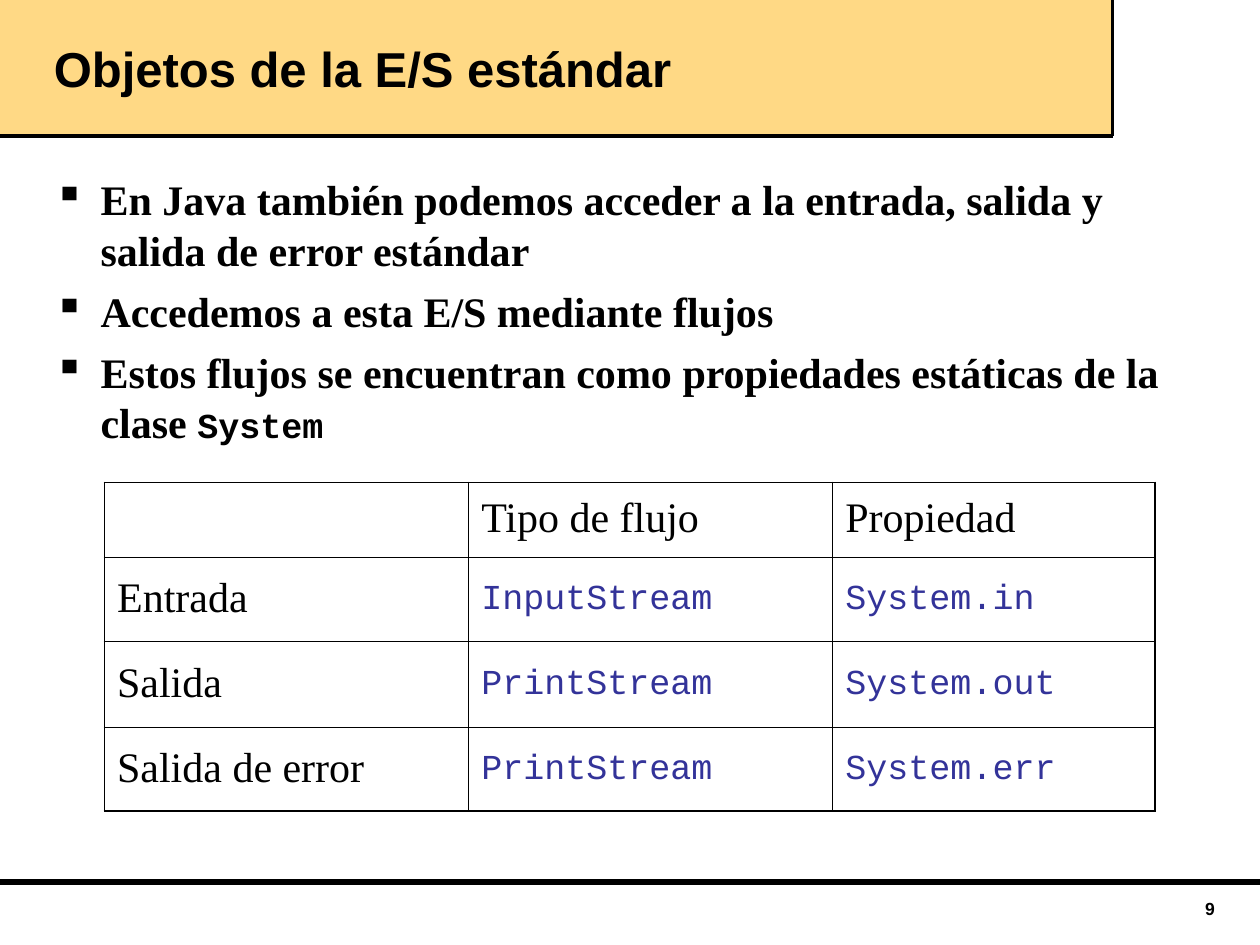
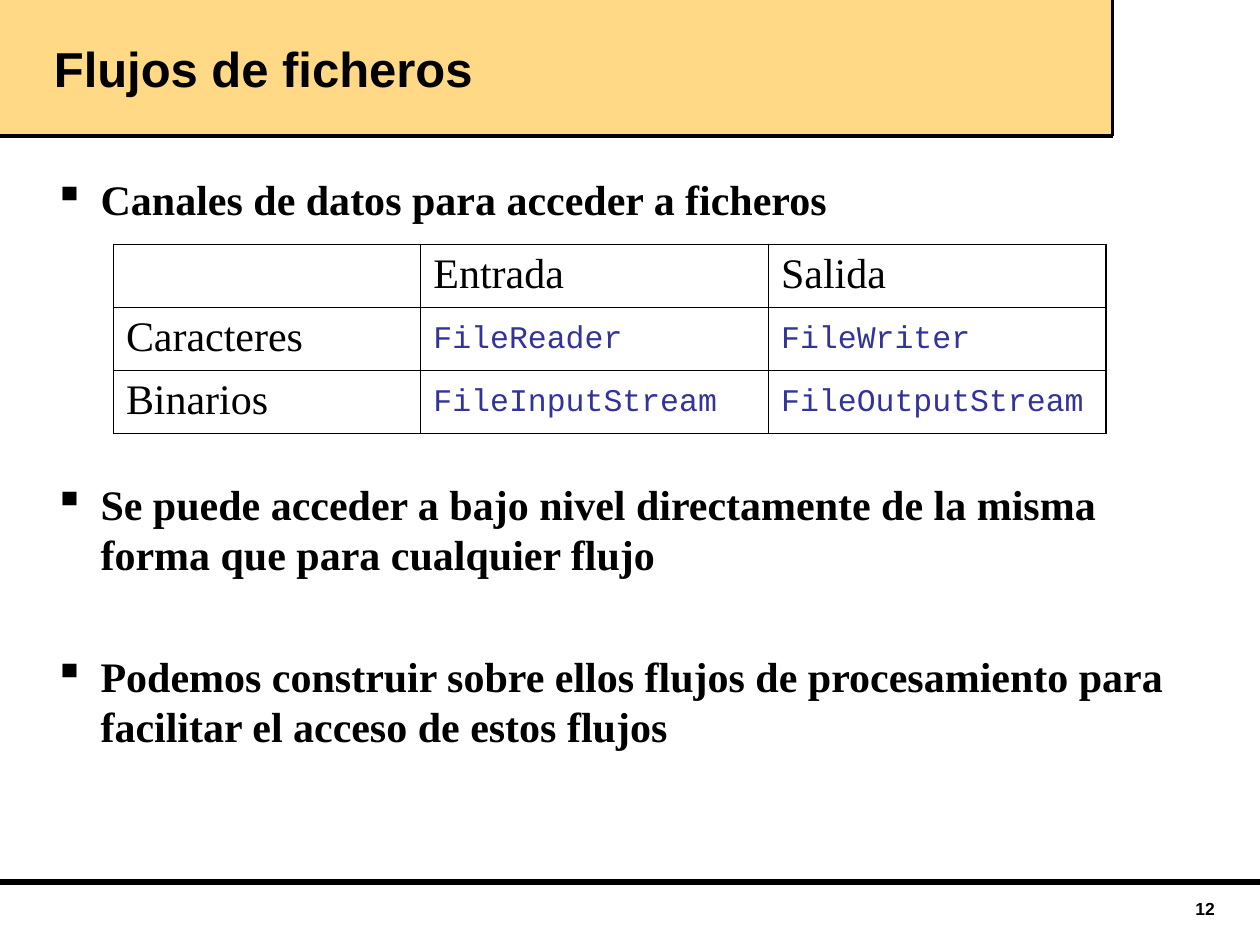
from dataclasses import dataclass
from lxml.etree import SubElement
from pptx import Presentation
from pptx.dml.color import RGBColor
from pptx.enum.shapes import MSO_CONNECTOR, MSO_SHAPE
from pptx.enum.text import MSO_ANCHOR, PP_ALIGN
from pptx.oxml import parse_xml
from pptx.oxml.ns import nsdecls, qn
from pptx.util import Inches, Pt


@dataclass(frozen=True)
class Theme:
    black: str = "000000"
    band: str = "FFD985"
    code: str = "333399"
    sans: str = "Arial"
    serif: str = "Times New Roman"
    mono: str = "Courier New"
    head: int = 28
    body: int = 24
    small: int = 20
    num: int = 10
    lead: float = 28.8  # line pitch of the body text
    gap: float = 6      # space before a bullet
    thick: float = 1.08
    thin: float = 0.45


T = Theme()
BAND = (0, 0, 8.83, 1.08)
TITLE = (0.33, 0, 8.5, 1.08)
BODY = (0.33, 1.33, 9.2, 5.08)
FOOT = (7.58, 7.08, 2.16, 0.27)
RULE = 7


def write(para, text, font=T.serif, size=T.body, color=T.black, bold=False):
    """Add one formatted run to a paragraph."""
    run = para.add_run()
    run.text = text
    run.font.name, run.font.size, run.font.bold = font, Pt(size), bold
    run.font.color.rgb = RGBColor.from_string(color)


def frame(slide, box, anchor=MSO_ANCHOR.TOP):
    area = slide.shapes.add_textbox(*map(Inches, box)).text_frame
    area.word_wrap = True
    area.vertical_anchor = anchor
    return area


def line(slide, x1, y1, x2, y2, width):
    rule = slide.shapes.add_connector(
        MSO_CONNECTOR.STRAIGHT, *map(Inches, (x1, y1, x2, y2)))
    rule.line.color.rgb = RGBColor.from_string(T.black)
    rule.line.width = Pt(width)
    SubElement(rule._element.spPr, qn("a:effectLst"))


def header(slide, box, title):
    # Band with a rule below and at the right
    x, y, w, h = box
    band = slide.shapes.add_shape(MSO_SHAPE.RECTANGLE, *map(Inches, box))
    band.shadow.inherit = False
    band.fill.solid()
    band.fill.fore_color.rgb = RGBColor.from_string(T.band)
    band.line.fill.background()
    line(slide, x, y + h, x + w, y + h, 2)
    line(slide, x + w, y + h, x + w, y, 2)
    # Title
    area = frame(slide, TITLE, MSO_ANCHOR.MIDDLE)
    write(area.paragraphs[0], title, font=T.sans, size=T.head, bold=True)


def footer(slide, box, number):
    line(slide, 0, RULE, 10, RULE, 3)
    para = frame(slide, box).paragraphs[0]
    para.alignment = PP_ALIGN.RIGHT
    write(para, str(number), font=T.sans, size=T.num, bold=True)


def bullet(para):
    props = para._p.get_or_add_pPr()
    props.set("marL", str(Inches(0.37)))
    props.set("indent", str(-Inches(0.37)))
    tint = SubElement(props, qn("a:buClr"))
    SubElement(tint, qn("a:srgbClr"), val=T.black)
    SubElement(props, qn("a:buChar"), char="▪")


def bullets(slide, box, items):
    """Each item is its text, a code word to end it, and lines to skip."""
    area = frame(slide, box)
    for i, (text, code, skip) in enumerate(items):
        para = area.paragraphs[0] if i == 0 else area.add_paragraph()
        bullet(para)
        para.line_spacing = Pt(T.lead)
        if i:
            para.space_before = Pt(T.gap + skip * (T.lead + T.gap))
        write(para, text, bold=True)
        if code:
            write(para, code, font=T.mono, size=T.small, bold=True)


def borders(cell, outer):
    """Draw the four sides, thick where they are on the outer edge."""
    props = cell._tc.get_or_add_tcPr()
    for i, side in enumerate("LRTB"):
        width = Pt(T.thick if side in outer else T.thin)
        props.insert(i, parse_xml(
            f'<a:ln{side} {nsdecls("a")} w="{width}"><a:solidFill>'
            f'<a:srgbClr val="{T.black}"/></a:solidFill></a:ln{side}>'))


def grid(slide, spot, cols, rows, data, size):
    x, y = spot
    table = slide.shapes.add_table(
        len(rows), len(cols),
        *map(Inches, (x, y, sum(cols), sum(rows)))).table
    table.first_row = table.horz_banding = False
    for col, width in zip(table.columns, cols):
        col.width = Inches(width)
    for row, height in zip(table.rows, rows):
        row.height = Inches(height)
    for r, texts in enumerate(data):
        for c, text in enumerate(texts):
            cell = table.cell(r, c)
            cell.fill.background()
            cell.vertical_anchor = MSO_ANCHOR.MIDDLE
            edges = {"L": c == 0, "R": c == len(cols) - 1,
                     "T": r == 0, "B": r == len(rows) - 1}
            borders(cell, [side for side in edges if edges[side]])
            if not text:
                continue
            para = cell.text_frame.paragraphs[0]
            para.line_spacing = 0.93
            # Names of classes stand below and right of the labels
            if r and c:
                write(para, text, font=T.mono, size=size, color=T.code)
            else:
                write(para, text)


def page(deck, title, number, items, table):
    slide = deck.slides.add_slide(deck.slide_layouts[6])
    header(slide, BAND, title)
    bullets(slide, BODY, items)
    grid(slide, **table)
    footer(slide, FOOT, number)


def main():
    deck = Presentation()
    deck.slide_width, deck.slide_height = Inches(10), Inches(7.5)

    # Standard streams
    page(deck, "Objetos de la E/S estándar", 9, [
        ("En Java también podemos acceder a la entrada, salida y "
         "salida de error estándar", "", 0),
        ("Accedemos a esta E/S mediante flujos", "", 0),
        ("Estos flujos se encuentran como propiedades estáticas de la clase ",
         "System", 0),
    ], dict(spot=(0.83, 3.83), cols=(2.89, 2.89, 2.56),
            rows=(0.59, 0.67, 0.68, 0.67), size=20, data=[
                ("", "Tipo de flujo", "Propiedad"),
                ("Entrada", "InputStream", "System.in"),
                ("Salida", "PrintStream", "System.out"),
                ("Salida de error", "PrintStream", "System.err")]))

    # File streams
    page(deck, "Flujos de ficheros", 12, [
        ("Canales de datos para acceder a ficheros", "", 0),
        ("Se puede acceder a bajo nivel directamente de la misma "
         "forma que para cualquier flujo", "", 4),
        ("Podemos construir sobre ellos flujos de procesamiento para "
         "facilitar el acceso de estos flujos", "", 1),
    ], dict(spot=(0.9, 1.94), cols=(2.44, 2.76, 2.68),
            rows=(0.5,) * 3, size=18, data=[
                ("", "Entrada", "Salida"),
                ("Caracteres", "FileReader", "FileWriter"),
                ("Binarios", "FileInputStream", "FileOutputStream")]))

    deck.save("out.pptx")


if __name__ == "__main__":
    main()
